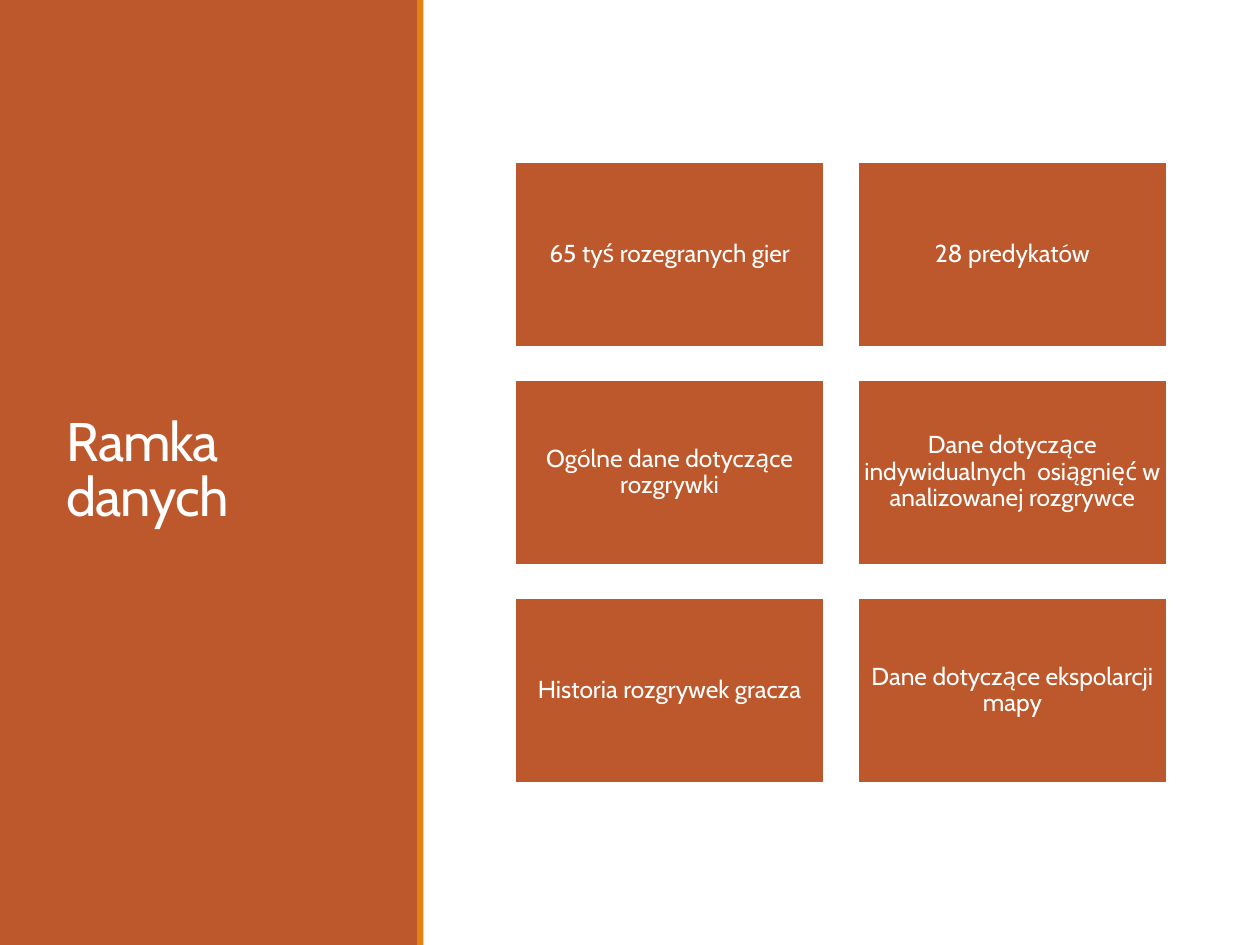
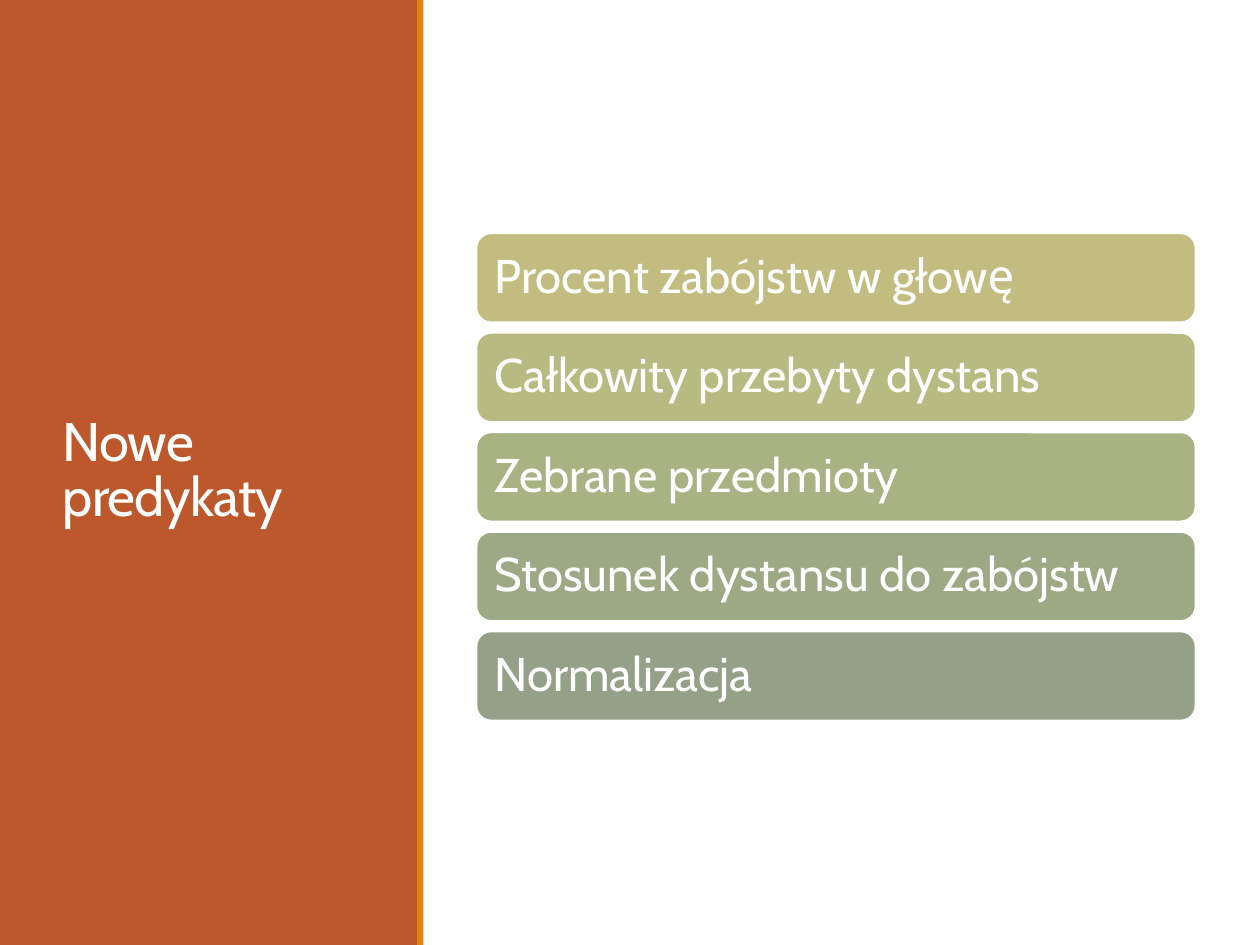
"""Build two side-band slides: a grid of data cards and a list of new predictors."""
from pptx import Presentation
from pptx.dml.color import RGBColor
from pptx.enum.shapes import MSO_SHAPE as Shape
from pptx.enum.text import MSO_ANCHOR as Anchor, PP_ALIGN as Align
from pptx.util import Inches, Pt

FRAME_TITLE = "Ramka danych"
FRAME_CARDS = [
    ["65 tyś rozegranych gier", "28 predykatów"],
    ["Ogólne dane dotyczące rozgrywki",
     "Dane dotyczące indywidualnych  osiągnięć w analizowanej rozgrywce"],
    ["Historia rozgrywek gracza", "Dane dotyczące ekspolarcji mapy"],
]
PREDICTORS_TITLE = "Nowe predykaty"
PREDICTORS = [
    ("Procent zabójstw w głowę", "C2BC80"),
    ("Całkowity przebyty dystans", "B7BA81"),
    ("Zebrane przedmioty", "A8B283"),
    ("Stosunek dystansu do zabójstw", "9DA985"),
    ("Normalizacja", "94A088"),
]

WIDTH, HEIGHT = 10, 7.5
FONT, WHITE, RUST, ORANGE = "Cabin", "FFFFFF", "BD582C", "E48312"
BAND_WIDTH, STRIPE_LEFT, STRIPE_WIDTH = 3.32, 3.31, 0.05
TITLE_WIDTH = 2.53
CARD_LEFT, CARD_TOP, CARD_WIDTH, CARD_HEIGHT, CARD_GAP = 4.08, 1.28, 2.47, 1.48, 0.25
BAR_LEFT, BAR_TOP, BAR_WIDTH, BAR_HEIGHT, BAR_STEP = 3.78, 1.85, 5.71, 0.71, 0.79


def color(value):
    return RGBColor.from_string(value)


def add_box(slide, kind, box, fill, line_width=0):
    shape = slide.shapes.add_shape(kind, *map(Inches, box))
    shape.shadow.inherit = False
    shape.fill.solid()
    shape.fill.fore_color.rgb = color(fill)
    if line_width:
        shape.line.color.rgb = color(WHITE)
        shape.line.width = Pt(line_width)
    else:
        shape.line.fill.background()
    return shape


def write(shape, text, size, line_spacing, align=Align.LEFT, inset=None):
    frame = shape.text_frame
    frame.word_wrap = True
    frame.vertical_anchor = Anchor.MIDDLE
    if inset is not None:
        frame.margin_left = frame.margin_right = Inches(inset)
        frame.margin_top = frame.margin_bottom = Inches(inset)
    paragraph = frame.paragraphs[0]
    paragraph.alignment = align
    paragraph.line_spacing = line_spacing
    run = paragraph.add_run()
    run.text = text
    font = paragraph.font
    font.name, font.size = FONT, Pt(size)
    font.color.rgb = color(WHITE)
    return run


def add_titled_slide(presentation, title, title_left, title_top):
    slide = presentation.slides.add_slide(presentation.slide_layouts[6])
    add_box(slide, Shape.RECTANGLE, (0, 0, BAND_WIDTH, HEIGHT), RUST)
    title_box = (title_left, title_top, TITLE_WIDTH, HEIGHT - 2 * title_top)
    title_shape = slide.shapes.add_textbox(*map(Inches, title_box))
    run = write(title_shape, title, 31, 0.85)
    run._r.get_or_add_rPr().set("spc", "-50")
    add_box(slide, Shape.RECTANGLE, (STRIPE_LEFT, 0, STRIPE_WIDTH, HEIGHT), ORANGE)
    return slide


def add_cards(slide):
    for row, texts in enumerate(FRAME_CARDS):
        for column, text in enumerate(texts):
            box = (CARD_LEFT + column * (CARD_WIDTH + CARD_GAP),
                   CARD_TOP + row * (CARD_HEIGHT + CARD_GAP), CARD_WIDTH, CARD_HEIGHT)
            card = add_box(slide, Shape.RECTANGLE, box, RUST, 2)
            write(card, text, 14, 0.9, Align.CENTER, 0.06)


def add_bars(slide):
    for row, (text, fill) in enumerate(PREDICTORS):
        box = (BAR_LEFT, BAR_TOP + row * BAR_STEP, BAR_WIDTH, BAR_HEIGHT)
        bar = add_box(slide, Shape.ROUNDED_RECTANGLE, box, fill, 1.25)
        write(bar, text, 27, 0.9, inset=0.11)


def main():
    presentation = Presentation()
    presentation.slide_width, presentation.slide_height = Inches(WIDTH), Inches(HEIGHT)
    add_cards(add_titled_slide(presentation, FRAME_TITLE, 0.43, 0.34))
    add_bars(add_titled_slide(presentation, PREDICTORS_TITLE, 0.4, 0.59))
    presentation.save("out.pptx")


if __name__ == "__main__":
    main()
